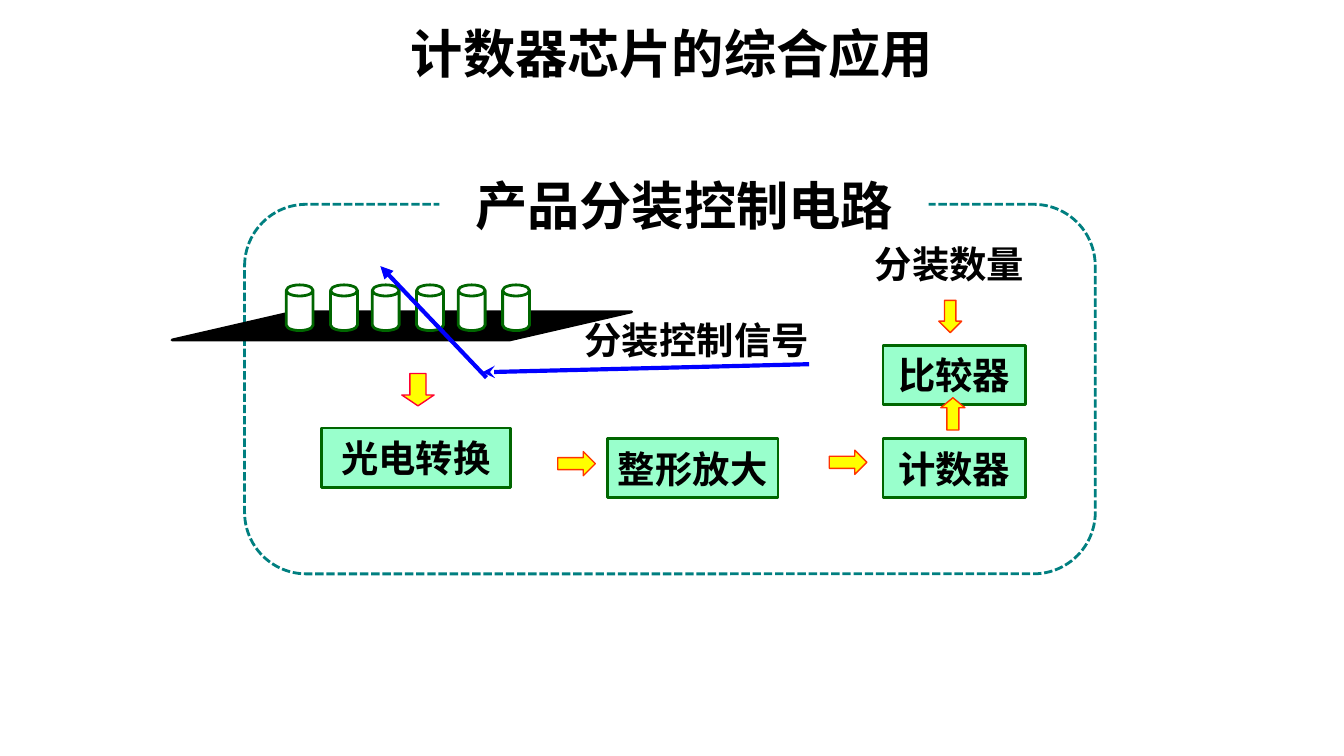
import pptx
import pptx.dml.color
import pptx.enum.dml
import pptx.enum.shapes
import pptx.enum.text
import pptx.oxml
import pptx.oxml.ns
import pptx.util

RGBColor = pptx.dml.color.RGBColor
SHAPE = pptx.enum.shapes.MSO_SHAPE
ALIGN = pptx.enum.text.PP_ALIGN

BLACK = RGBColor(0x00, 0x00, 0x00)
WHITE = RGBColor(0xFF, 0xFF, 0xFF)
MINT = RGBColor(0x99, 0xFF, 0xCC)
GREEN = RGBColor(0x00, 0x66, 0x00)
TEAL = RGBColor(0x00, 0x7F, 0x80)
YELLOW = RGBColor(0xFF, 0xFF, 0x00)
ORANGE_RED = RGBColor(0xFF, 0x33, 0x00)
CRIMSON = RGBColor(0xFF, 0x00, 0x33)
BLUE = RGBColor(0x00, 0x00, 0xFF)

FONT = "Noto Sans CJK SC"
WIDTH = pptx.util.Inches(10)
HEIGHT = WIDTH * 9 // 16
CELL = WIDTH / 100


def grid(*cells):
    return [round(cell * CELL) for cell in cells]


def set_values(target, values):
    for name, value in values.items():
        setattr(target, name, value)


def add_element(parent, tag, **attributes):
    element = pptx.oxml.parse_xml(f"<{tag} {pptx.oxml.ns.nsdecls('a')}/>")
    for name, value in attributes.items():
        element.set(name, value)
    parent.append(element)


def write_text(shape, text, size, side_inset=0.0, align=ALIGN.CENTER):
    frame = shape.text_frame
    inset = pptx.util.Inches(side_inset)
    set_values(frame, {
        "word_wrap": True,
        "margin_left": inset,
        "margin_right": inset,
        "vertical_anchor": pptx.enum.text.MSO_ANCHOR.MIDDLE,
    })
    paragraph = frame.paragraphs[0]
    paragraph.alignment = align
    run = paragraph.add_run()
    run.text = text
    set_values(run.font, {"name": FONT, "size": pptx.util.Pt(size), "bold": True})
    run.font.color.rgb = BLACK
    add_element(run.font._element, "a:ea", typeface=FONT)


def add_shape(shapes, kind, cells, fill=None, line=None, width=1.5, adjustments=()):
    shape = shapes.add_shape(kind, *grid(*cells))
    shape.shadow.inherit = False
    for index, value in enumerate(adjustments):
        shape.adjustments[index] = value
    if fill is None:
        shape.fill.background()
    else:
        shape.fill.solid()
        shape.fill.fore_color.rgb = fill
    if line is None:
        shape.line.fill.background()
    else:
        shape.line.color.rgb = line
        shape.line.width = pptx.util.Pt(width)
    return shape


def add_label(shapes, text, cells, size, **text_format):
    label = shapes.add_textbox(*grid(*cells))
    write_text(label, text, size, **text_format)


def add_box(shapes, text, cells, size=20, fill=MINT, line=GREEN, side_inset=0.0):
    box = add_shape(shapes, SHAPE.RECTANGLE, cells, fill, line)
    write_text(box, text, size, side_inset)


def add_block_arrow(shapes, kind, cells, head=0.5, rotation=0, line=ORANGE_RED):
    arrow = add_shape(shapes, kind, cells, YELLOW, line, 0.75, (0.5, head))
    arrow.rotation = rotation


def add_signal_line(shapes, cells, head):
    connector = shapes.add_connector(
        pptx.enum.shapes.MSO_CONNECTOR.STRAIGHT, *grid(*cells))
    connector.line.color.rgb = BLUE
    connector.line.width = pptx.util.Pt(2.25)
    add_element(connector.line._get_or_add_ln(), "a:headEnd", type=head)
    add_element(connector._element.spPr, "a:effectLst")


def add_conveyor(shapes):
    conveyor = shapes.add_group_shape().shapes
    add_shape(conveyor, SHAPE.PARALLELOGRAM, (12.8, 23.2, 34.2, 2.1),
              BLACK, BLACK, adjustments=(4.335,))
    for pair in range(3):
        for offset in (0, 3.3):
            add_shape(conveyor, SHAPE.CAN, (21.3 + 6.4 * pair + offset, 21.2, 2, 3.4),
                      WHITE, GREEN, adjustments=(0.415,))
    add_signal_line(conveyor, (28.3, 19.8, 36.2, 28.1), "triangle")


def main():
    presentation = pptx.Presentation()
    set_values(presentation, {"slide_width": WIDTH, "slide_height": HEIGHT})
    slide = presentation.slides.add_slide(presentation.slide_layouts[6])
    shapes = slide.shapes

    add_label(shapes, "计数器芯片的综合应用", (11.7, 1.1, 76.6, 5.7), 28, side_inset=0.1)

    for text, left, top, width in (
        ("光电转换", 23.9, 31.85, 14.1),
        ("整形放大", 45.2, 32.65, 12.7),
        ("计数器", 65.7, 32.65, 10.6),
        ("比较器", 65.7, 25.7, 10.6),
    ):
        add_box(shapes, text, (left, top, width, 4.4))
    add_box(shapes, "分装数量", (65, 17.4, 11.3, 4.4), fill=WHITE, line=None)

    for left, top in ((41.5, 33.6), (61.7, 33.5)):
        add_block_arrow(shapes, SHAPE.RIGHT_ARROW, (left, top, 2.8, 1.8))
    add_block_arrow(shapes, SHAPE.UP_ARROW, (70, 29.6, 1.8, 2.4), 0.415)
    add_block_arrow(shapes, SHAPE.RIGHT_ARROW, (69.5, 22.7, 2.4, 1.7), rotation=90)

    add_label(shapes, "分装控制信号", (43.5, 23.1, 17.9, 4.4), 20, align=ALIGN.LEFT)
    outline = add_shape(shapes, SHAPE.ROUNDED_RECTANGLE, (18.2, 15.2, 63.3, 27.5),
                        line=TEAL, adjustments=(0.167,))
    outline.line.dash_style = pptx.enum.dml.MSO_LINE.SQUARE_DOT

    add_conveyor(shapes)
    add_block_arrow(shapes, SHAPE.DOWN_ARROW, (29.9, 27.8, 2.4, 2.4), 0.335, line=CRIMSON)
    add_signal_line(shapes, (35.9, 27.7, 60.2, 27.1), "stealth")
    add_box(shapes, "产品分装控制电路", (32.7, 12.4, 36.4, 5.7), 28, WHITE, None, 0.1)

    presentation.save("out.pptx")


if __name__ == "__main__":
    main()
